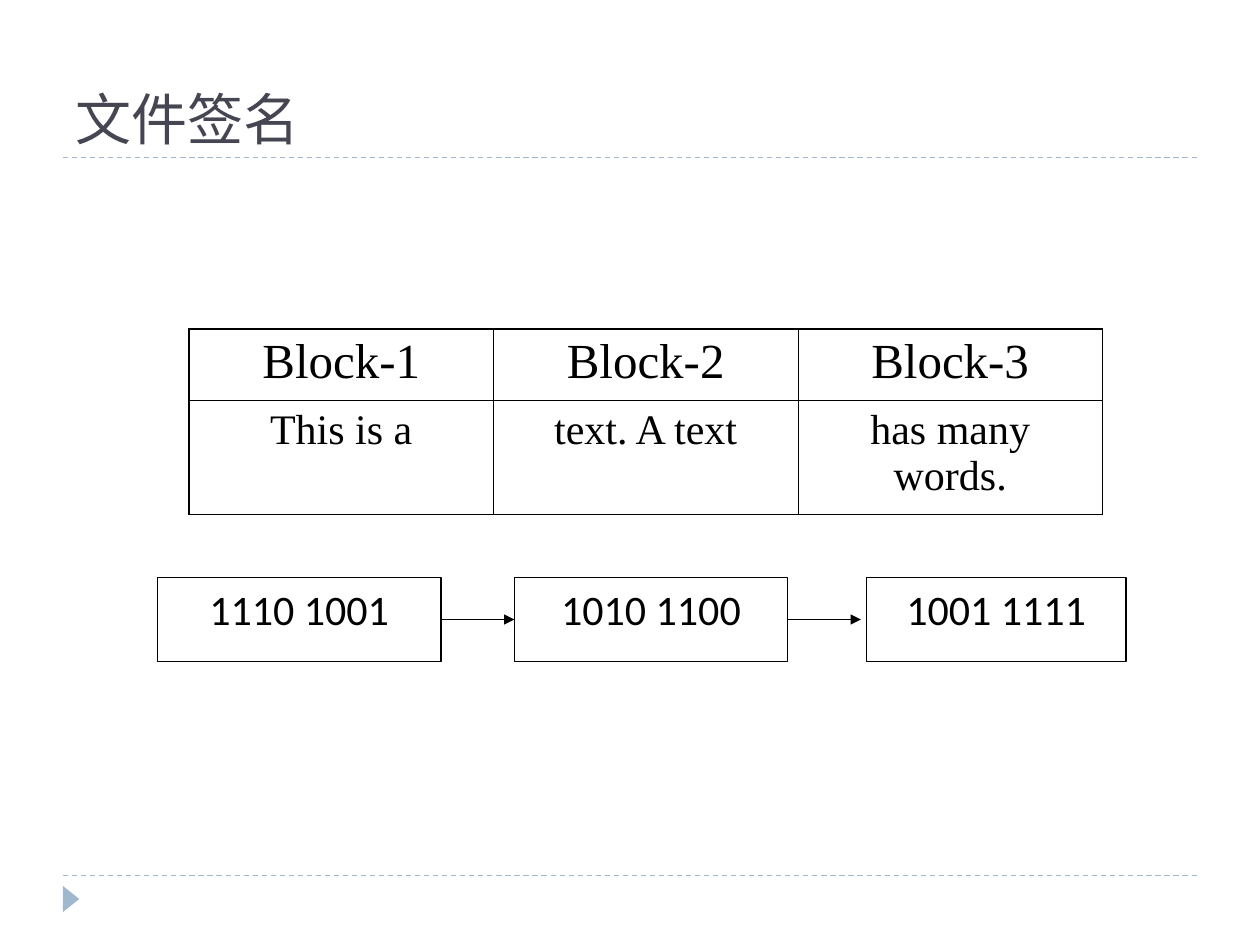
from lxml.etree import SubElement
from pptx import Presentation
from pptx.dml.color import RGBColor
from pptx.enum.dml import MSO_LINE
from pptx.enum.shapes import MSO_CONNECTOR, MSO_SHAPE
from pptx.enum.text import MSO_ANCHOR, PP_ALIGN
from pptx.oxml import parse_xml
from pptx.oxml.ns import nsdecls, qn
from pptx.util import Pt

COLORS = {"title": "464653", "accent": "9FB8CD", "ink": "000000"}


def rgb(name):
    """Return the named colour."""
    return RGBColor.from_string(COLORS[name])


def write(tf, text, font="Calibri", size=24, color="ink",
          align=PP_ALIGN.CENTER, anchor=MSO_ANCHOR.TOP):
    """Fill a text frame with one formatted paragraph."""
    tf.word_wrap = True
    tf.vertical_anchor = anchor
    p = tf.paragraphs[0]
    p.alignment = align
    r = p.add_run()
    r.text = text
    r.font.name = font
    r.font.size = Pt(size)
    r.font.color.rgb = rgb(color)


def add_line(s, x1, x2, y, color="ink", dashed=False, arrow=False):
    """Draw a horizontal line, optionally dashed or with an arrowhead."""
    c = s.shapes.add_connector(MSO_CONNECTOR.STRAIGHT, Pt(x1), Pt(y), Pt(x2), Pt(y))
    c.line.color.rgb = rgb(color)
    c.line.width = Pt(0.75)
    if dashed:
        c.line.dash_style = MSO_LINE.DASH
    if arrow:
        SubElement(c.line._get_or_add_ln(), qn("a:tailEnd"), type="triangle")
    SubElement(c._element.spPr, qn("a:effectLst"))


def add_title(s, x, y, w, h, text):
    """Place the title above its dashed rule."""
    add_line(s, x, x + w, y + h, "accent", dashed=True)
    tf = s.shapes.add_textbox(Pt(x), Pt(y), Pt(w), Pt(h)).text_frame
    write(tf, text, font="Roboto Slab", size=32, color="title",
          align=PP_ALIGN.LEFT, anchor=MSO_ANCHOR.BOTTOM)


def add_footer(s, x, y, w):
    """Place the bottom rule and the triangle that points right."""
    add_line(s, x, x + w, y, "accent", dashed=True)
    sp = s.shapes.add_shape(MSO_SHAPE.ISOSCELES_TRIANGLE,
                            Pt(x - 2.9), Pt(y + 8.6), Pt(15), Pt(9.4))
    sp.rotation = 90
    sp.shadow.inherit = False
    sp.fill.solid()
    sp.fill.fore_color.rgb = rgb("accent")
    sp.line.fill.background()


def set_borders(cell, widths):
    """Draw the cell borders with a width in points for each side."""
    tcPr = cell._tc.get_or_add_tcPr()
    for i, (side, width) in enumerate(widths.items()):
        tcPr.insert(i, parse_xml(
            f'<a:ln{side} {nsdecls("a")} w="{Pt(width)}"><a:solidFill>'
            f'<a:srgbClr val="{COLORS["ink"]}"/></a:solidFill></a:ln{side}>'))


def add_blocks(s, x, y, w, heights, rows, sizes):
    """Place the table of text blocks with a heavier outer border."""
    n_rows, n_cols = len(rows), len(rows[0])
    table = s.shapes.add_table(n_rows, n_cols, Pt(x), Pt(y), Pt(w),
                               Pt(sum(heights))).table
    table.first_row = table.horz_banding = False
    for col in table.columns:
        col.width = Pt(w / n_cols)
    for i, texts in enumerate(rows):
        table.rows[i].height = Pt(heights[i])
        for j, text in enumerate(texts):
            cell = table.cell(i, j)
            cell.fill.background()
            write(cell.text_frame, text, font="Times New Roman", size=sizes[i])
            outer = {"L": j == 0, "R": j == n_cols - 1,
                     "T": i == 0, "B": i == n_rows - 1}
            set_borders(cell, {k: 1.08 if v else 0.45 for k, v in outer.items()})


def add_chain(s, y, h, boxes, arrow):
    """Place the row of code boxes joined by arrows of equal length."""
    for i, (x, w, text) in enumerate(boxes):
        sp = s.shapes.add_shape(MSO_SHAPE.RECTANGLE, Pt(x), Pt(y), Pt(w), Pt(h))
        sp.shadow.inherit = False
        sp.fill.background()
        sp.line.color.rgb = rgb("ink")
        sp.line.width = Pt(0.75)
        write(sp.text_frame, text)
        if i < len(boxes) - 1:
            add_line(s, x + w, x + w + arrow, y + h / 2, arrow=True)


def main():
    """Build the slide and save it."""
    prs = Presentation()
    prs.slide_width, prs.slide_height = Pt(720), Pt(540)
    s = prs.slides.add_slide(prs.slide_layouts[6])
    add_footer(s, 36, 500.4, 648)
    add_title(s, 36, 12, 648, 78, "文件签名")
    add_blocks(s, 108, 188, 522, (41, 65),
               (("Block-1", "Block-2", "Block-3"),
                ("This is a", "text. A text", "has many words.")), (28, 24))
    add_chain(s, 330, 48, ((90, 162, "1110 1001"), (294, 156, "1010 1100"),
                           (495, 148.5, "1001 1111")), 42)
    prs.save("out.pptx")


if __name__ == "__main__":
    main()
